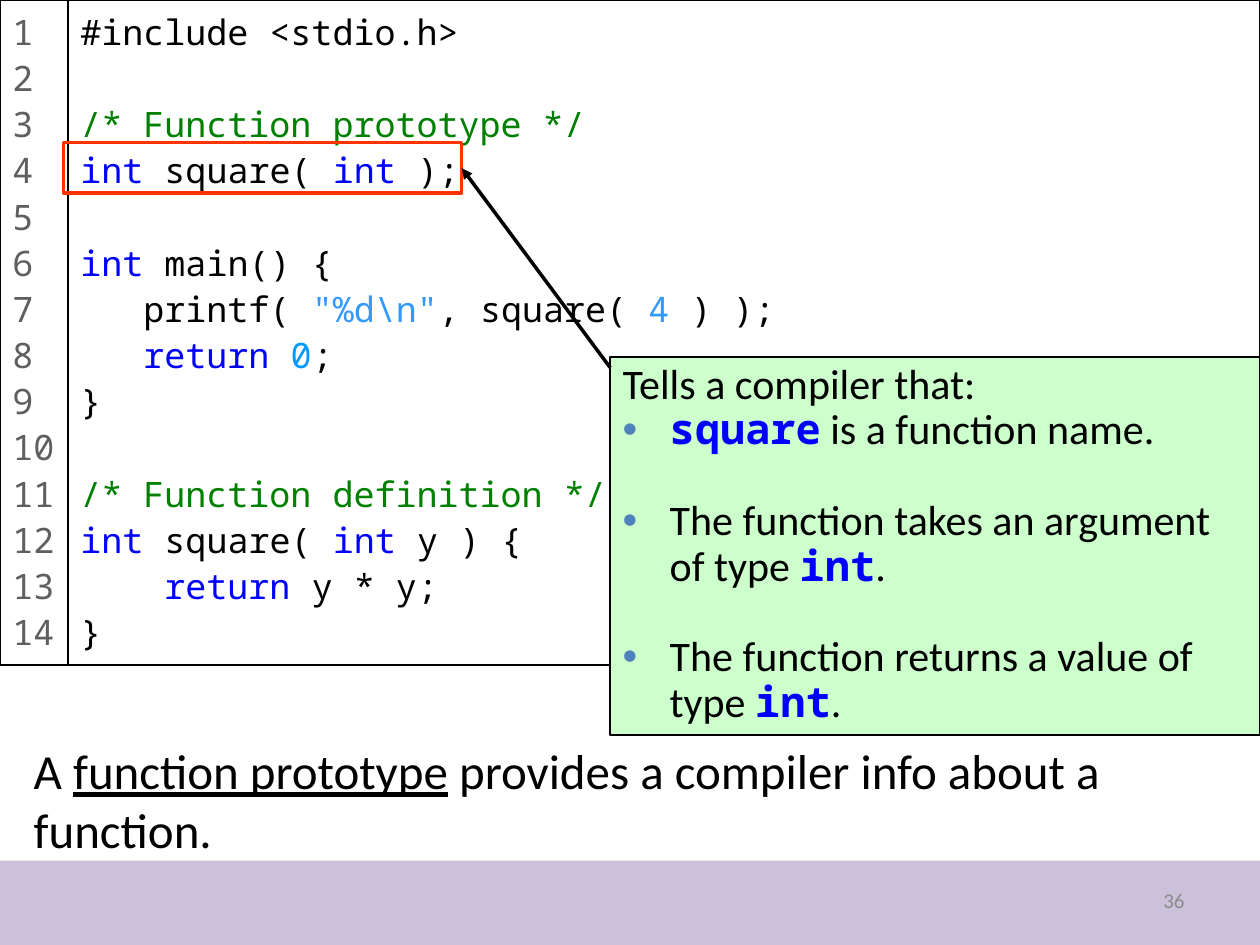
from dataclasses import dataclass

import pptx
import pptx.dml.color
import pptx.enum.shapes
import pptx.enum.text
import pptx.oxml
import pptx.oxml.ns
import pptx.util
from pptx.util import Cm, Pt

SANS, MONO = "Calibri", "Noto Sans Mono"
BLACK, WHITE, GREY = "000000", "FFFFFF", "5F5F5F"
BLUE, GREEN, SKY, AZURE = "0000FF", "008000", "3399FF", "0099FF"


@dataclass
class Span:
    text: str
    color: str = BLACK
    font: str = ""
    bold: bool = False
    underline: bool = False


@dataclass
class Para:
    spans: list[Span]
    size: float
    font: str = SANS
    spacing: float = 1.0
    before: float = 0
    bullet: bool = False
    align: str = "LEFT"


@dataclass
class Box:
    """A rectangle in centimetres; an empty colour means none."""
    left: float
    top: float
    width: float
    height: float
    fill: str = ""
    line: str = ""
    weight: float = 0.75


def rgb(color: str) -> pptx.dml.color.RGBColor:
    return pptx.dml.color.RGBColor.from_string(color)


def add_xml(parent, tag: str, content: str = "") -> None:
    name = tag.split()[0]
    ns = pptx.oxml.ns.nsdecls("a")
    parent.append(pptx.oxml.parse_xml(f"<a:{tag} {ns}>{content}</a:{name}>"))


def add_box(slide, box: Box):
    sp = slide.shapes.add_shape(
        pptx.enum.shapes.MSO_SHAPE.RECTANGLE,
        Cm(box.left), Cm(box.top), Cm(box.width), Cm(box.height))
    sp.shadow.inherit = False
    if box.fill:
        sp.fill.solid()
        sp.fill.fore_color.rgb = rgb(box.fill)
    else:
        sp.fill.background()
    if box.line:
        sp.line.color.rgb = rgb(box.line)
        sp.line.width = Pt(box.weight)
    else:
        sp.line.fill.background()
    return sp


def add_label(slide, box: Box):
    return slide.shapes.add_textbox(
        Cm(box.left), Cm(box.top), Cm(box.width), Cm(box.height))


def write(sp, paras: list[Para], anchor: str = "TOP") -> None:
    tf = sp.text_frame
    tf.word_wrap = True
    tf.vertical_anchor = pptx.enum.text.MSO_ANCHOR[anchor]
    for i, para in enumerate(paras):
        p = tf.paragraphs[0] if i == 0 else tf.add_paragraph()
        p.alignment = pptx.enum.text.PP_ALIGN[para.align]
        p.line_spacing = para.spacing
        p.space_before = Pt(para.before)
        if para.bullet:
            pPr = p._p.get_or_add_pPr()
            pPr.set("marL", str(Cm(0.95)))
            pPr.set("indent", str(-Cm(0.95)))
            add_xml(pPr, "buClr", '<a:srgbClr val="4F81BD"/>')
            add_xml(pPr, 'buFont typeface="Arial"')
            add_xml(pPr, 'buChar char="•"')
        p.font.size = Pt(para.size)
        p.font.name = para.font
        for span in para.spans:
            r = p.add_run()
            r.text = span.text
            r.font.color.rgb = rgb(span.color)
            if span.font:
                r.font.name = span.font
            if span.bold:
                r.font.bold = True
            if span.underline:
                r.font.underline = True


def add_arrow(slide, start: tuple[float, float], end: tuple[float, float]) -> None:
    cn = slide.shapes.add_connector(
        pptx.enum.shapes.MSO_CONNECTOR.STRAIGHT, *map(Cm, start + end))
    cn.line.color.rgb = rgb(BLACK)
    cn.line.width = Pt(2)
    add_xml(cn.line._get_or_add_ln(), 'tailEnd type="triangle"')
    add_xml(cn._element.spPr, "effectLst")


def code_para(spans: list[Span]) -> Para:
    return Para(spans, 20, MONO, 1.1)


def name(text: str) -> Span:
    """A piece of code inside the callout's prose."""
    return Span(text, BLUE, MONO, bold=True)


def point(*spans: Span, before: float = 0) -> Para:
    return Para(list(spans), 24, spacing=0.9, before=before, bullet=True)


INT = Span("int", BLUE)
CODE = [
    [Span("#include <stdio.h>")],
    [],
    [Span("/* Function prototype */", GREEN)],
    [INT, Span(" square( "), INT, Span(" );")],
    [],
    [INT, Span(" main() {")],
    [Span("   printf( "), Span('"%d\\n"', SKY), Span(", square( "),
     Span("4", SKY), Span(" ) );")],
    [Span("   return ", BLUE), Span("0", AZURE), Span(";")],
    [Span("}")],
    [],
    [Span("/* Function definition */", GREEN)],
    [INT, Span(" square( "), INT, Span(" y ) {")],
    [Span("    return", BLUE), Span(" y * y;")],
    [Span("}")],
]
GAP = 26
CALLOUT = [
    Para([Span("Tells a compiler that:")], 24, spacing=0.9),
    point(name("square"), Span(" is a function name.")),
    point(Span("The function takes an argument of type "), name("int"),
          Span("."), before=GAP),
    point(Span("The function returns a value of type "), name("int"),
          Span("."), before=GAP),
]
SUMMARY = [Span("A "), Span("function prototype", underline=True),
           Span(" provides a compiler info about a function.")]


def main() -> None:
    prs = pptx.Presentation()
    prs.slide_width, prs.slide_height = Cm(25.4), Cm(19.05)
    s = prs.slides.add_slide(prs.slide_layouts[6])

    add_box(s, Box(0, 17.35, 25.4, 1.7, "CCC1DA"))
    write(add_label(s, Box(18.2, 17.65, 5.93, 1.01)),
          [Para([Span("36", "8C8C8C")], 12, align="RIGHT")], "MIDDLE")

    gutter, height = 1.37, 13.41
    write(add_box(s, Box(gutter, 0, 25.4 - gutter, height, WHITE, BLACK)),
          [code_para(line) for line in CODE])
    write(add_box(s, Box(0, 0, gutter, height, WHITE, BLACK)),
          [code_para([Span(str(n), GREY)]) for n in range(1, len(CODE) + 1)])
    add_box(s, Box(1.28, 2.87, 8.03, 1.02, line="FF3300", weight=2))

    write(add_label(s, Box(0.43, 14.8, 24.57, 2.62)), [Para(SUMMARY, 28)])
    write(add_box(s, Box(12.3, 7.2, 13.1, 7.62, "CCFFCC", BLACK)), CALLOUT)
    add_arrow(s, (12.3, 7.41), (9.31, 3.39))

    prs.save("out.pptx")


if __name__ == "__main__":
    main()
